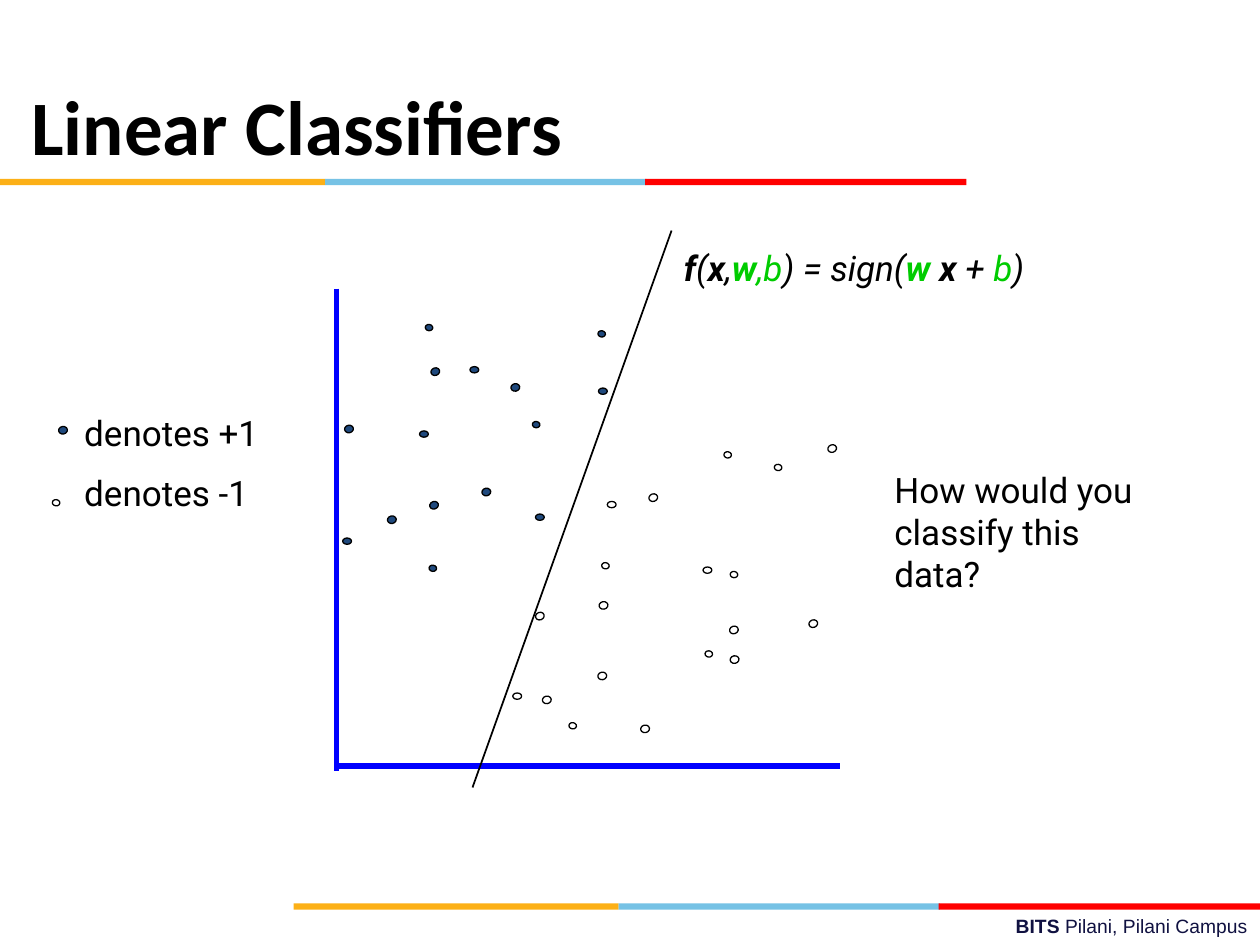
from lxml import etree
from pptx import Presentation
from pptx.dml.color import RGBColor
from pptx.enum.shapes import MSO_CONNECTOR, MSO_SHAPE
from pptx.enum.text import MSO_ANCHOR, MSO_AUTO_SIZE, PP_ALIGN
from pptx.oxml.ns import qn
from pptx.util import Inches, Pt

RECTANGLE, OVAL = MSO_SHAPE.RECTANGLE, MSO_SHAPE.OVAL
STRAIGHT = MSO_CONNECTOR.STRAIGHT
LEFT, RIGHT = PP_ALIGN.LEFT, PP_ALIGN.RIGHT

BLACK, WHITE, NAVY, GREEN = "000000", "FFFFFF", "1F497D", "00CC00"
AXIS_BLUE, FOOTER_NAVY = "0000FF", "101141"

TITLE = "Linear Classifiers"
QUESTION = "How would you classify this data?"
LEGEND = ["denotes +1", "denotes -1"]
# text, colour, bold
FORMULA = [
    ("f", BLACK, True), ("(", BLACK, False), ("x", BLACK, True),
    (",", BLACK, False), ("w", GREEN, True), (",b", GREEN, False),
    (") = sign(", BLACK, False), ("w", GREEN, True), (" x ", BLACK, True),
    ("+ ", BLACK, False), ("b", GREEN, False), (")", BLACK, False),
]
FOOTER = [("BITS ", FOOTER_NAVY, True),
          ("Pilani, Pilani Campus", FOOTER_NAVY, False)]

# Stripe colour and left edge within its band
STRIPES = [("FCB017", 0, 2.58), ("76C2E5", 2.58, 2.55), ("FF0000", 5.12, 2.55)]
BANDS = [(2.33, 7.17), (0, 1.42)]

# Dot sizes by rotation, and the left and top of each dot
DOT_SIZES = {0: (0.07, 0.05), 341.4: (0.07, 0.06),
             98.3: (0.05, 0.06), 79.6: (0.06, 0.07)}
POSITIVE = {
    0: [(2.72, 4.27), (4.75, 3.08), (3.73, 2.91), (4.25, 4.08), (3.33, 3.42)],
    341.4: [(3.42, 2.92), (3.41, 3.98)],
    98.3: [(4.23, 3.34), (3.41, 4.48), (4.75, 2.62), (3.38, 2.57)],
    79.6: [(3.83, 3.87), (3.08, 4.09), (4.06, 3.04), (2.74, 3.37),
           (0.47, 3.38)],  # the last one is the legend key
}
NEGATIVE = {
    0: [(4.07, 5.5), (4.82, 3.98), (5.58, 4.5)],
    341.4: [(4.25, 4.86), (6.57, 3.53), (5.79, 4.97), (5.15, 3.92),
            (6.42, 4.92)],
    98.3: [(4.52, 5.73), (5.8, 4.53), (4.78, 4.46), (6.15, 3.68),
           (5.75, 3.58), (5.6, 5.16), (0.42, 3.96)],  # the last one is the legend key
    79.6: [(5.09, 5.75), (4.75, 5.33), (4.76, 4.77), (4.31, 5.52),
           (5.8, 5.2)],
}
# start, end, colour, points
LINES = [
    ((2.67, 2.29), (2.67, 6.12), AXIS_BLUE, 3),
    ((2.67, 6.08), (6.67, 6.08), AXIS_BLUE, 3),
    ((3.75, 6.25), (5.33, 1.83), BLACK, 1),
]


def rgb(value):
    return RGBColor.from_string(value)


def add_filled(slide, kind, box, fill, outline=None):
    shape = slide.shapes.add_shape(kind, *map(Inches, box))
    shape.shadow.inherit = False
    shape.fill.solid()
    shape.fill.fore_color.rgb = rgb(fill)
    if outline:
        shape.line.color.rgb = rgb(outline)
        shape.line.width = Pt(0.75)
    else:
        shape.line.fill.background()
    return shape


def add_line(slide, start, end, color, width):
    line = slide.shapes.add_connector(STRAIGHT, *map(Inches, start + end))
    line.line.color.rgb = rgb(color)
    line.line.width = Pt(width)
    etree.SubElement(line._element.spPr, qn("a:effectLst"))


def add_text(slide, box, paragraphs, font="Roboto", size=20, align=LEFT,
             italic=False):
    """Each paragraph is a list of (text, colour, bold) runs."""
    frame = slide.shapes.add_textbox(*map(Inches, box)).text_frame
    frame.word_wrap = True
    for index, runs in enumerate(paragraphs):
        paragraph = frame.add_paragraph() if index else frame.paragraphs[0]
        paragraph.alignment = align
        if index:
            paragraph.space_before = Pt(size / 2)
        paragraph.font.name = font
        paragraph.font.size = Pt(size)
        paragraph.font.italic = italic
        for text, color, bold in runs:
            run = paragraph.add_run()
            run.text = text
            run.font.color.rgb = rgb(color)
            run.font.bold = bold


def set_title(title):
    title.left, title.top = Inches(0), Inches(0.66)
    title.width, title.height = Inches(5.08), Inches(0.75)
    frame = title.text_frame
    frame.text = TITLE
    frame.auto_size = MSO_AUTO_SIZE.NONE
    frame.vertical_anchor = MSO_ANCHOR.BOTTOM
    frame.margin_left = Inches(0.25)
    heading = frame.paragraphs[0]
    heading.alignment = LEFT
    heading.font.name = "Calibri"
    heading.font.size = Pt(44)
    heading.font.bold = True
    heading.font.color.rgb = rgb(BLACK)


def main():
    deck = Presentation()
    deck.slide_width, deck.slide_height = Inches(10), Inches(7.5)
    slide = deck.slides.add_slide(deck.slide_layouts[5])
    set_title(slide.shapes.title)

    for left, top in BANDS:
        for color, offset, width in STRIPES:
            add_filled(slide, RECTANGLE, (left + offset, top, width, 0.05), color)

    for fill, dots in ((NAVY, POSITIVE), (WHITE, NEGATIVE)):
        for rotation, corners in dots.items():
            for corner in corners:
                dot = add_filled(slide, OVAL, corner + DOT_SIZES[rotation],
                                 fill, BLACK)
                dot.rotation = rotation

    for line in LINES:
        add_line(slide, *line)

    add_text(slide, (5.33, 1.91, 3.5, 0.43), [FORMULA], italic=True)
    add_text(slide, (7, 3.67, 2.42, 0.77), [[(QUESTION, BLACK, False)]])
    add_text(slide, (0.57, 3.22, 2.08, 0.93),
             [[(label, BLACK, False)] for label in LEGEND])
    add_text(slide, (3.58, 7.21, 6.42, 0.29), [FOOTER], "Arial", 11, RIGHT)

    deck.save("out.pptx")


if __name__ == "__main__":
    main()
